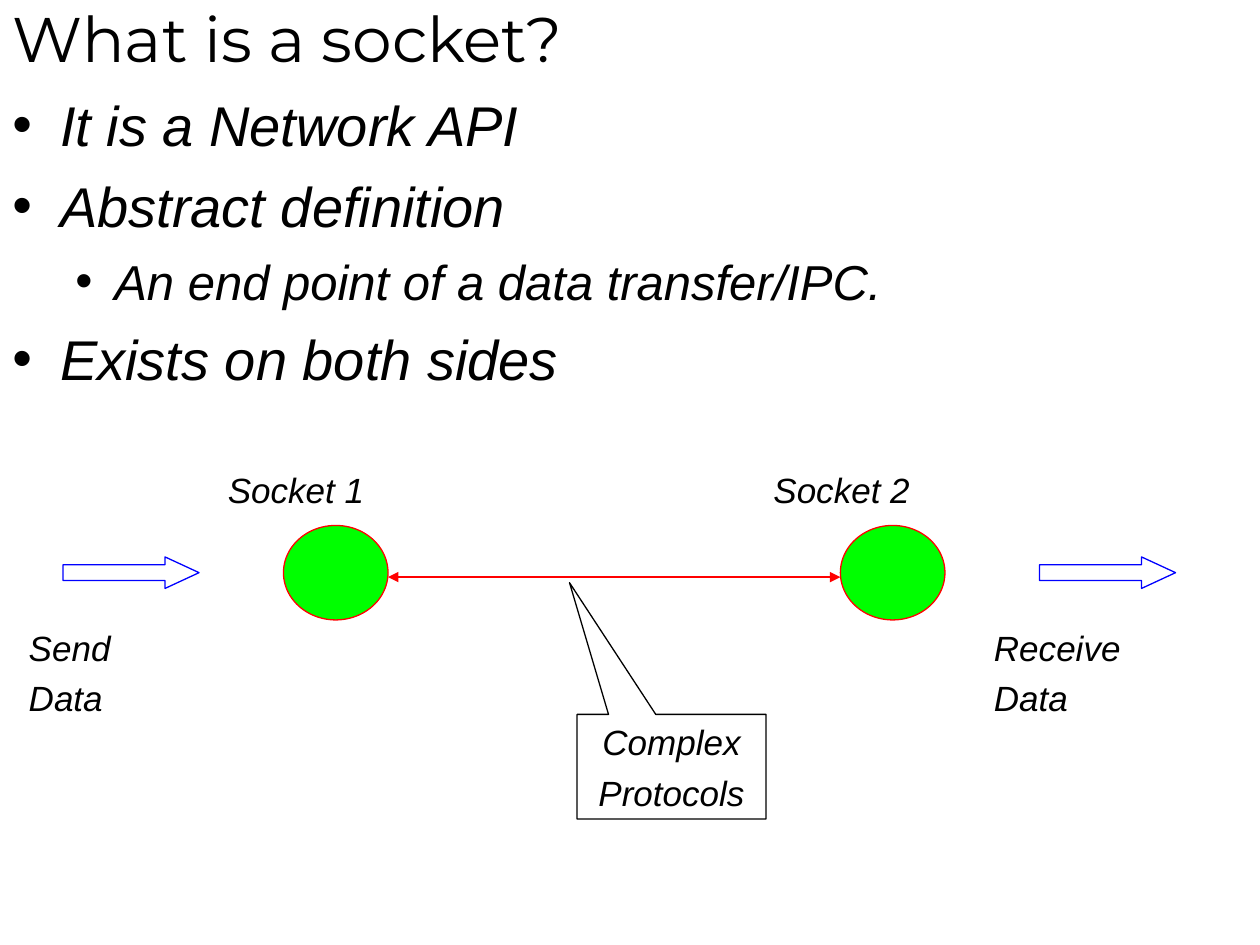
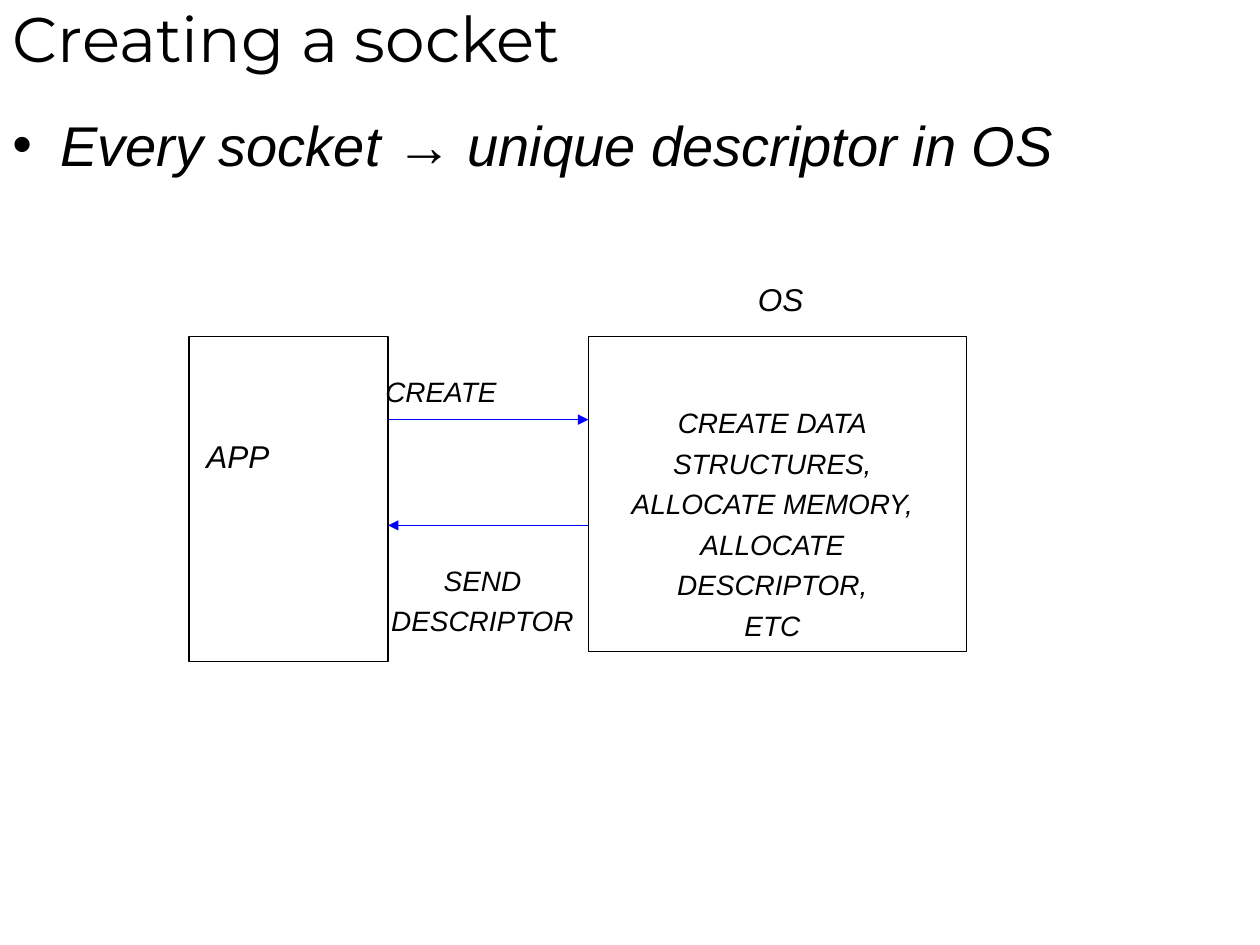
from lxml.etree import SubElement
from pptx import Presentation
from pptx.dml.color import RGBColor
from pptx.enum.shapes import MSO_CONNECTOR, MSO_SHAPE
from pptx.enum.text import MSO_ANCHOR, PP_ALIGN
from pptx.oxml.ns import qn
from pptx.util import Inches, Pt

# Shared look
BLACK, RED, GREEN, BLUE = "000000", "FF0000", "00FF00", "0000FF"
HEAD, BODY = "Montserrat", "Arial"
LEVELS = [(32, 0.38, 0.38), (28, 0.81, 0.31)]  # size, margin, hang

# Slide 1: boxes are left, top, width, height
WHAT = {
    "title": "What is a socket?",
    "at": (0, 0.67, 10, 3.25),
    "points": [("It is a Network API", 0), ("Abstract definition", 0),
               ("An end point of a data transfer/IPC.", 1),
               ("Exists on both sides", 0)],
}
NODES = [2.25, 6.67]
NODE_W = 0.83
FLOWS = [0.5, 8.25]
LABELS = [
    (["Socket 1"], (1.71, 3.67, 2.03, 0.44)),
    (["Socket 2"], (6.04, 3.67, 2.03, 0.44)),
    (["Receive", "Data"], (7.79, 4.92, 1.95, 0.84)),
    (["Send", "Data"], (0.13, 4.92, 1.6, 0.84)),
]
NOTE = (["Complex", "Protocols"], (4.58, 5.67, 1.5, 0.83))

# Slide 2
MAKE = {
    "title": "Creating a socket",
    "at": (0, 0.83, 10, 6.17),
    "points": [("Every socket → unique descriptor in OS", 0)],
}
APP = (1.5, 2.67, 1.58, 2.58)
SYSTEM = (4.67, 2.67, 3, 2.5)
CALL_Y, REPLY_Y = 3.33, 4.17
WORDS = [  # lines, box, size, centred
    (["APP"], (1.54, 3.42, 1.45, 0.4), 18, False),
    (["OS"], (5.54, 2.17, 1.31, 0.4), 18, True),
    (["CREATE"], (2.96, 2.92, 1.85, 0.37), 16, False),
    (["CREATE DATA", "STRUCTURES,", "ALLOCATE MEMORY,", "ALLOCATE",
      "DESCRIPTOR,", "ETC"], (4.67, 3.17, 2.92, 1.98), 16, True),
    (["SEND", "DESCRIPTOR"], (2.63, 4.42, 2.4, 0.69), 16, True),
]


def color(code):
    return RGBColor.from_string(code)


def place(box):
    return [Inches(n) for n in box]


def write(frame, lines, size=20, font=BODY, slant=True, center=False,
          gap=True, anchor=MSO_ANCHOR.TOP):
    """Fill a text frame, one paragraph a line."""
    frame.word_wrap = True
    frame.vertical_anchor = anchor
    for i, line in enumerate(lines):
        par = frame.paragraphs[0] if i == 0 else frame.add_paragraph()
        par.alignment = PP_ALIGN.CENTER if center else PP_ALIGN.LEFT
        par.space_before = Pt(size / 4 if gap else 0)
        run = par.add_run()
        run.text = line
        run.font.size = Pt(size)
        run.font.name = font
        run.font.italic = slant
        run.font.color.rgb = color(BLACK)


def label(slide, lines, box, **form):
    frame = slide.shapes.add_textbox(*place(box)).text_frame
    write(frame, lines, **form)
    return frame


def bullet(par, level):
    size, margin, hang = LEVELS[level]
    par.level = level
    par.space_before = Pt(size / 4)
    par.runs[0].font.size = Pt(size)
    props = par._p.get_or_add_pPr()
    props.set("marL", str(Inches(margin)))
    props.set("indent", str(-Inches(hang)))
    tint = SubElement(props, qn("a:buClr"))
    SubElement(tint, qn("a:srgbClr"), val=BLACK)
    SubElement(props, qn("a:buFont"), typeface=BODY)
    SubElement(props, qn("a:buChar"), char="•")


def shape(slide, kind, box, line=BLACK, fill=None, adjust=()):
    item = slide.shapes.add_shape(kind, *place(box))
    item.shadow.inherit = False
    if fill:
        item.fill.solid()
        item.fill.fore_color.rgb = color(fill)
    else:
        item.fill.background()
    item.line.color.rgb = color(line)
    item.line.width = Pt(0.75)
    for i, value in enumerate(adjust):
        item.adjustments[i] = value
    return item


def arrow(slide, start, end, y, line, both=False):
    item = slide.shapes.add_connector(
        MSO_CONNECTOR.STRAIGHT, *place((start, y, end, y)))
    item.line.color.rgb = color(line)
    item.line.width = Pt(0.75)
    ends = ["a:headEnd", "a:tailEnd"] if both else ["a:tailEnd"]
    for tag in ends:
        SubElement(item.line._get_or_add_ln(), qn(tag), type="triangle")
    SubElement(item._element.spPr, qn("a:effectLst"))


def start(deck, page):
    """Add a slide with its title and bullet list."""
    slide = deck.slides.add_slide(deck.slide_layouts[6])
    label(slide, [page["title"]], (0, -0.08, 10, 0.75), size=36, font=HEAD,
          slant=False, gap=False, anchor=MSO_ANCHOR.MIDDLE)
    points = page["points"]
    frame = label(slide, [text for text, _ in points], page["at"])
    for par, (_, level) in zip(frame.paragraphs, points):
        bullet(par, level)
    return slide


def draw_what(deck):
    slide = start(deck, WHAT)
    # Sockets and the link between them
    arrow(slide, NODES[0] + NODE_W, NODES[1], 4.58, RED, both=True)
    for x in NODES:
        shape(slide, MSO_SHAPE.FLOWCHART_CONNECTOR, (x, 4.17, NODE_W, 0.75),
              line=RED, fill=GREEN)
    # Data going in and out
    for x in FLOWS:
        shape(slide, MSO_SHAPE.RIGHT_ARROW, (x, 4.42, 1.08, 0.25),
              line=BLUE, adjust=(0.5, 1.08))
    for lines, box in LABELS:
        label(slide, lines, box)
    # Callout on the link
    lines, box = NOTE
    note = shape(slide, MSO_SHAPE.RECTANGULAR_CALLOUT, box,
                 adjust=(-0.54, -1.76))
    write(note.text_frame, lines, center=True)


def draw_make(deck):
    slide = start(deck, MAKE)
    for box in (SYSTEM, APP):
        shape(slide, MSO_SHAPE.RECTANGLE, box)
    # Call and reply
    left, right = APP[0] + APP[2], SYSTEM[0]
    arrow(slide, left, right, CALL_Y, BLUE)
    arrow(slide, right, left, REPLY_Y, BLUE)
    for lines, box, size, center in WORDS:
        label(slide, lines, box, size=size, center=center)


def main():
    deck = Presentation()
    deck.slide_width, deck.slide_height = Inches(10), Inches(7.5)
    draw_what(deck)
    draw_make(deck)
    deck.save("out.pptx")


if __name__ == "__main__":
    main()
